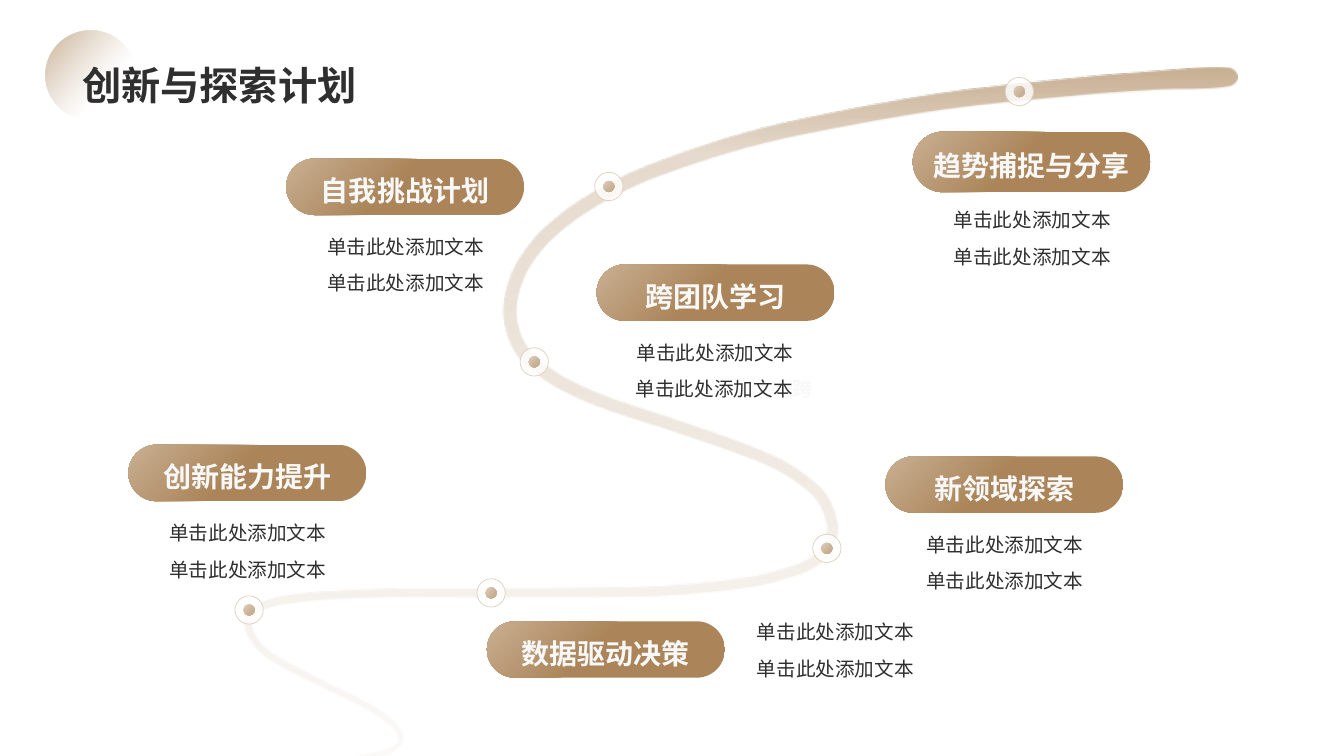
import math
from dataclasses import dataclass

from lxml import etree
from pptx import Presentation
from pptx.dml.color import RGBColor
from pptx.enum.shapes import MSO_SHAPE
from pptx.enum.text import MSO_ANCHOR, PP_ALIGN
from pptx.oxml.ns import qn
from pptx.util import Pt

OVAL, PILL = MSO_SHAPE.OVAL, MSO_SHAPE.ROUNDED_RECTANGLE
LEFT, CENTER = PP_ALIGN.LEFT, PP_ALIGN.CENTER
TOP, MIDDLE, BOTTOM = MSO_ANCHOR.TOP, MSO_ANCHOR.MIDDLE, MSO_ANCHOR.BOTTOM
SANS, CJK = "Arial", "Noto Sans CJK SC"
DARK, PALE, WHITE = "2F2F2F", "F8F8F8", "FFFFFF"
BROWN, TAN, SAND = "AB8559", "C8AF92", "DECFBE"
BODY_LINE = "单击此处添加文本"
PILL_WIDTH, DOT_SIZE, CORE_SIZE = 170, 20.2, 7.9


@dataclass
class Stop:
    """A gradient stop: position and opacity in percent."""
    position: int
    color: str
    opacity: int = 100


@dataclass
class Milestone:
    """A labelled step; the body is placed relative to its pill."""
    label: str
    left: float
    top: float
    height: float = 40.3
    body_dx: float = -6.8
    body_dy: float = 47.5
    body_width: float = 184.3
    align: PP_ALIGN = CENTER
    tail: str = ""


MILESTONES = [
    Milestone("创新能力提升", 91.7, 317.7),
    Milestone("数据驱动决策", 347.8, 443.8, body_dx=185.7, body_dy=-7.8, align=LEFT),
    Milestone("新领域探索", 632.4, 326),
    Milestone("自我挑战计划", 204.4, 113.3),
    Milestone("跨团队学习", 426.2, 188.9, body_dx=-14.4, body_width=198, tail="跨"),
    Milestone("趋势捕捉与分享", 652, 94.1, height=43.2),
]
DOT_CENTERS = [(177.9, 435.7), (350.8, 423.5), (590.6, 391.7),
               (381.6, 258.5), (434.9, 133.2), (728.1, 65.4)]

# Road waypoints: centre x, centre y, width
ROAD = [
    (77.2, 551.9, 2), (129.6, 551.2, 3.5), (180.7, 549, 3.6), (232.6, 545, 4.2),
    (257.8, 541.4, 4.2), (276.5, 536.8, 4), (283.7, 532.8, 3.8), (286.9, 528.5, 3.7),
    (285.5, 522.7, 4), (281.5, 517, 4.2), (276.8, 513, 4.3), (266, 505.8, 4.4),
    (254.5, 499.7, 4.6), (207.7, 476.6, 4.8), (196.6, 470.2, 4.9), (186.1, 461.9, 5),
    (178.9, 450.7, 5), (178.2, 443.5, 5), (178.9, 441, 5), (182.5, 436, 5.1),
    (191.2, 431.6, 5.4), (204.1, 428.4, 5.7), (229.7, 425.5, 5.8), (280.8, 423.4, 5.9),
    (332.6, 423.4, 6), (435.6, 423, 6.6), (486.7, 421.2, 7), (537.8, 415.4, 7.2),
    (563, 409, 7.3), (575.3, 404.6, 7.4), (586.1, 397.4, 7.5), (592.9, 386.6, 7.5),
    (594.7, 380.2, 7.6), (594.4, 373.3, 7.7), (590, 360.7, 7.8), (582.1, 349.9, 7.9),
    (561.2, 334.8, 8), (537.1, 323.6, 8.2), (488.5, 306.4, 8.5), (439.2, 290.2, 8.8),
    (415.4, 280.8, 9), (392.4, 268.2, 9.2), (373, 250.6, 9.4), (364.7, 225.4, 9.4),
    (369.7, 198.7, 9.4), (383.8, 176, 9.5), (402.8, 158, 9.6), (424.4, 143.3, 9.8),
    (447.5, 131, 9.9), (471.2, 121, 10), (520.6, 104.4, 10.5), (570.6, 91.8, 11),
    (671.8, 73.4, 11.8), (774.4, 62.2, 12.6), (825.5, 58.3, 13.2), (877, 55.8, 13.6),
]


def rgb(color: str) -> RGBColor:
    return RGBColor.from_string(color)


def set_gradient(shape, stops: list[Stop], angle: int | None = None) -> None:
    """Linear gradient at an angle, or a round one from the top left corner."""
    gradient = etree.Element(qn("a:gradFill"), rotWithShape="1")
    stop_list = etree.SubElement(gradient, qn("a:gsLst"))
    for stop in stops:
        node = etree.SubElement(stop_list, qn("a:gs"), pos=str(stop.position * 1000))
        color = etree.SubElement(node, qn("a:srgbClr"), val=stop.color)
        if stop.opacity < 100:
            etree.SubElement(color, qn("a:alpha"), val=str(stop.opacity * 1000))
    if angle is None:
        route = etree.SubElement(gradient, qn("a:path"), {"path": "circle"})
        etree.SubElement(route, qn("a:fillToRect"), r="100000", b="100000")
    else:
        etree.SubElement(gradient, qn("a:lin"), ang=str(angle * 60000), scaled="0")
    shape._element.spPr.insert(2, gradient)
    shape.line.fill.background()
    shape.shadow.inherit = False


def add_preset(page, kind, left: float, top: float, width: float, height: float):
    return page.shapes.add_shape(kind, Pt(left), Pt(top), Pt(width), Pt(height))


def add_box(page, left: float, top: float, width: float, height: float):
    return page.shapes.add_textbox(Pt(left), Pt(top), Pt(width), Pt(height))


def format_span(span, size: float, color: str, font: str, bold: bool = False) -> None:
    span.font.size, span.font.bold, span.font.name = Pt(size), bold, font
    span.font.color.rgb = rgb(color)
    latin = span.font._element.find(qn("a:latin"))
    latin.addnext(etree.Element(qn("a:ea"), typeface=CJK))


def write(shape, text: str, size: float, color: str, font: str, bold: bool = False,
          anchor=TOP, align=LEFT, spacing: float = 1.0, after: float = 0) -> None:
    frame = shape.text_frame
    frame.text = text
    frame.word_wrap, frame.vertical_anchor = True, anchor
    for para in frame.paragraphs:
        para.alignment, para.line_spacing, para.space_after = align, spacing, Pt(after)
        for span in para.runs:
            format_span(span, size, color, font, bold)


def round_outline(shape) -> None:
    """Turn the straight segments of a freeform into smooth curves."""
    points = [(int(node.get("x")), int(node.get("y")))
              for node in shape._element.iter(qn("a:pt"))]
    angles = [math.atan2(after[1] - before[1], after[0] - before[0])
              for before, after in zip(points[:1] + points, points[1:] + points[-1:])]
    segments = list(shape._element.iter(qn("a:lnTo")))
    for index, segment in enumerate(segments):
        start, end = points[index], points[index + 1]
        reach = math.dist(start, end) / 3
        segment.tag = qn("a:cubicBezTo")
        handles = [(start, angles[index], reach), (end, angles[index + 1], -reach)]
        for place, ((x, y), angle, length) in enumerate(handles):
            handle = etree.Element(qn("a:pt"), x=str(round(x + length * math.cos(angle))),
                                   y=str(round(y + length * math.sin(angle))))
            segment.insert(place, handle)


def add_road(page) -> None:
    lower, upper = [], []
    for before, (x, y, width), after in zip(ROAD[:1] + ROAD, ROAD, ROAD[1:] + ROAD[-1:]):
        angle = math.atan2(after[1] - before[1], after[0] - before[0])
        dx, dy = -math.sin(angle) * width / 2, math.cos(angle) * width / 2
        lower.append((x + dx, y + dy))
        upper.append((x - dx, y - dy))
    end_x, end_y, end_width = ROAD[-1]
    tip = (end_x + end_width / 2, end_y)
    outline = [(Pt(x), Pt(y)) for x, y in [*lower, tip, *upper[::-1]]]
    builder = page.shapes.build_freeform(*outline[0])
    builder.add_line_segments(outline[1:], close=True)
    road = builder.convert_to_shape()
    round_outline(road)
    set_gradient(road, [Stop(0, TAN), Stop(12, TAN, 46), Stop(100, TAN, 5)], 90)


def add_dot(page, x: float, y: float) -> None:
    ring, core = (add_preset(page, OVAL, x - size / 2, y - size / 2, size, size)
                  for size in (DOT_SIZE, CORE_SIZE))
    ring.fill.solid()
    ring.fill.fore_color.rgb = rgb(WHITE)
    color = ring._element.spPr.find(".//" + qn("a:srgbClr"))
    etree.SubElement(color, qn("a:alpha"), val="80000")
    ring.line.color.rgb, ring.line.width = rgb(SAND), Pt(0.5)
    ring.shadow.inherit = False
    set_gradient(core, [Stop(0, SAND), Stop(74, TAN)], 45)


def add_milestone(page, item: Milestone) -> None:
    pill = add_preset(page, PILL, item.left, item.top, PILL_WIDTH, item.height)
    pill.adjustments[0] = 0.5
    set_gradient(pill, [Stop(0, TAN), Stop(46, BROWN)])
    write(pill, item.label, 20, PALE, CJK, True, MIDDLE, CENTER, 1.2)
    body = add_box(page, item.left + item.body_dx, item.top + item.body_dy,
                   item.body_width, 52.6)
    write(body, "\n".join([BODY_LINE] * 2), 14, DARK, SANS,
          align=item.align, spacing=1.2, after=6)
    if item.tail:
        para = body.text_frame.paragraphs[-1]
        para._p.get_or_add_pPr().set("marL", str(Pt(12.8)))
        span = para.add_run()
        span.text = item.tail
        format_span(span, 14, PALE, CJK, True)


def main() -> None:
    deck = Presentation()
    deck.slide_width, deck.slide_height = Pt(960), Pt(540)
    page = deck.slides.add_slide(deck.slide_layouts[6])

    # Heading
    halo = add_preset(page, OVAL, 32.4, 21.6, 64.1, 64.1)
    halo.rotation = 355.9
    set_gradient(halo, [Stop(0, BROWN, 70), Stop(64, TAN, 0)], 45)
    title = add_box(page, 51.8, 10.1, 855.4, 70.6)
    write(title, "创新与探索计划", 28, DARK, SANS, True, BOTTOM)

    # Road with its markers and milestones
    add_road(page)
    for x, y in DOT_CENTERS:
        add_dot(page, x, y)
    for item in MILESTONES:
        add_milestone(page, item)

    deck.save("out.pptx")


if __name__ == "__main__":
    main()
